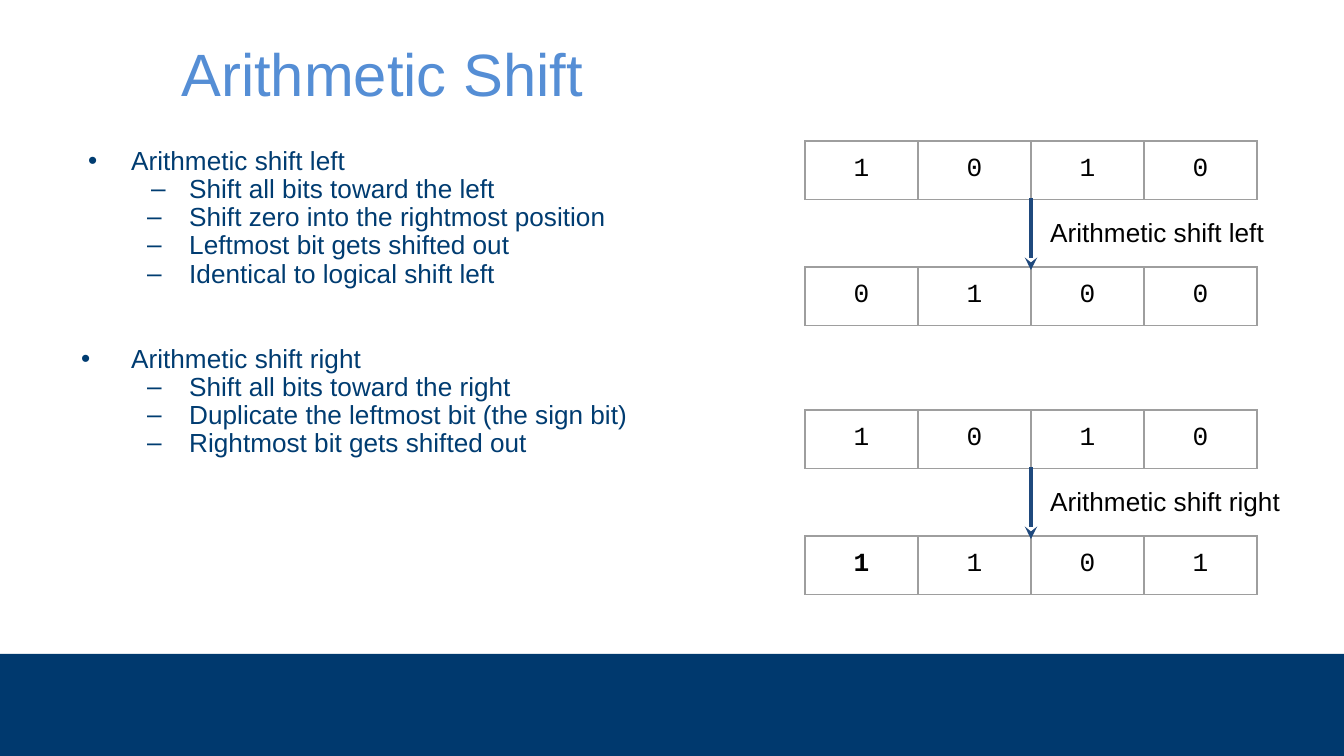
from lxml.etree import SubElement
from pptx import Presentation
from pptx.dml.color import RGBColor
from pptx.enum.shapes import MSO_CONNECTOR as CONNECTOR, MSO_SHAPE as SHAPE
from pptx.enum.text import MSO_ANCHOR as ANCHOR, MSO_AUTO_SIZE as AUTO, PP_ALIGN as ALIGN
from pptx.oxml.ns import qn
from pptx.util import Emu, Pt

BAND = RGBColor(0x00, 0x39, 0x6E)
NAVY = RGBColor(0x00, 0x3C, 0x71)
SKY = RGBColor(0x55, 0x8E, 0xD5)
ARROW = RGBColor(0x1F, 0x49, 0x7D)
GREY = RGBColor(0x9E, 0x9E, 0x9E)
BLACK = RGBColor(0x00, 0x00, 0x00)

SLIDE_W, SLIDE_H = 1344, 756
CELL_W, CELL_H = 113, 56
TABLE_X = 805
TABLE_FRAME = 441
ROW_STEP = 126  # from the bits before a shift to the bits after it
INSET = Pt(7.2)

# Text, level, left margin, hanging indent, space before in points
OUTLINE = [
    ("Arithmetic shift left", 0, 51, 43, 0.7),
    ("Shift all bits toward the left", 1, 109, 38, 0),
    ("Shift zero into the rightmost position", 1, 109, 42, 0),
    ("Leftmost bit gets shifted out", 1, 109, 42, 0),
    ("Identical to logical shift left", 1, 109, 42, 0),
    ("Arithmetic shift right", 0, 51, 50, 30.3),
    ("Shift all bits toward the right", 1, 109, 42, 0),
    ("Duplicate the leftmost bit (the sign bit)", 1, 109, 42, 0),
    ("Rightmost bit gets shifted out", 1, 109, 42, 0),
]

# Top, label, bits before, bits after, index of the bold bit
SHIFTS = [
    (141, "Arithmetic shift left", "1010", "0100", None),
    (410, "Arithmetic shift right", "1010", "1101", 0),
]


def px(n):
    return Emu(round(n * 914400 / 134.4))


def box(*lengths):
    return [px(n) for n in lengths]


def write(p, text, size=14, font="Arial", color=BLACK, bold=False, align=ALIGN.LEFT):
    p.alignment = align
    r = p.add_run()
    r.text = text
    r.font.size = Pt(size)
    r.font.name = font
    r.font.bold = bold
    r.font.color.rgb = color


def set_insets(obj):
    obj.margin_left = obj.margin_right = obj.margin_top = obj.margin_bottom = INSET


def add_title(s, text):
    title = s.shapes.title
    title.left, title.top, title.width, title.height = box(168, 43, 1008, 60)
    tf = title.text_frame
    tf.auto_size = AUTO.NONE
    tf.vertical_anchor = ANCHOR.MIDDLE
    write(tf.paragraphs[0], text, size=32, color=SKY)


def add_band(s):
    band = s.shapes.add_shape(SHAPE.RECTANGLE, *box(0, 654, SLIDE_W, SLIDE_H - 654))
    band.shadow.inherit = False
    band.fill.solid()
    band.fill.fore_color.rgb = BAND
    band.line.fill.background()


def set_bullet(p, char, margin, hang):
    pPr = p._p.get_or_add_pPr()
    pPr.set("marL", str(px(margin)))
    pPr.set("indent", str(-px(hang)))
    color = SubElement(pPr, qn("a:buClr"))
    SubElement(color, qn("a:srgbClr"), val=str(NAVY))
    SubElement(pPr, qn("a:buFont"), typeface="Arial")
    SubElement(pPr, qn("a:buChar"), char=char)


def add_outline(s):
    tf = s.shapes.add_textbox(*box(67, 141, 1171, 470)).text_frame
    tf.word_wrap = True
    for i, (text, level, margin, hang, before) in enumerate(OUTLINE):
        p = tf.add_paragraph() if i else tf.paragraphs[0]
        p.level = level
        p.line_spacing = 0.9
        p.space_before = Pt(before)
        set_bullet(p, "•–"[level], margin, hang)
        write(p, text, color=NAVY)


def set_borders(cell):
    tcPr = cell._tc.get_or_add_tcPr()
    for side in ("a:lnL", "a:lnR", "a:lnT", "a:lnB"):
        ln = SubElement(tcPr, qn(side), w=str(Pt(0.75)))
        fill = SubElement(ln, qn("a:solidFill"))
        SubElement(fill, qn("a:srgbClr"), val=str(GREY))


def add_bits(s, y, bits, bold_bit=None):
    frame = s.shapes.add_table(1, len(bits), *box(TABLE_X, y, TABLE_FRAME, TABLE_FRAME))
    table = frame.table
    table.first_row = table.horz_banding = False
    table.rows[0].height = px(CELL_H)
    for i, bit in enumerate(bits):
        table.columns[i].width = px(CELL_W)
        cell = table.cell(0, i)
        set_insets(cell)
        set_borders(cell)
        cell.fill.background()
        write(cell.text_frame.paragraphs[0], bit, font="Courier New",
              bold=i == bold_bit, align=ALIGN.CENTER)
    # Cell sizes reset the frame, so it is sized last
    frame.width = frame.height = px(TABLE_FRAME)


def add_label(s, y, text):
    tf = s.shapes.add_textbox(*box(1037, y, 280, 58)).text_frame
    tf.word_wrap = True
    set_insets(tf)
    write(tf.paragraphs[0], text)


def add_arrow(s, x, y1, y2):
    arrow = s.shapes.add_connector(CONNECTOR.STRAIGHT, *box(x, y1, x, y2))
    arrow.line.color.rgb = ARROW
    arrow.line.width = Pt(2.25)
    SubElement(arrow.line._get_or_add_ln(), qn("a:tailEnd"), type="stealth")
    SubElement(arrow._element.spPr, qn("a:effectLst"))


def main():
    prs = Presentation()
    prs.slide_width, prs.slide_height = box(SLIDE_W, SLIDE_H)
    s = prs.slides.add_slide(prs.slide_layouts[5])

    # Frame and explanation
    add_band(s)
    add_title(s, "Arithmetic Shift")
    add_outline(s)

    # Worked examples
    for y, label, before, after, bold_bit in SHIFTS:
        add_bits(s, y, before)
        add_bits(s, y + ROW_STEP, after, bold_bit)
        add_label(s, y + 62, label)
        add_arrow(s, TABLE_X + 2 * CELL_W, y + 57, y + 129)

    prs.save("out.pptx")


if __name__ == "__main__":
    main()
